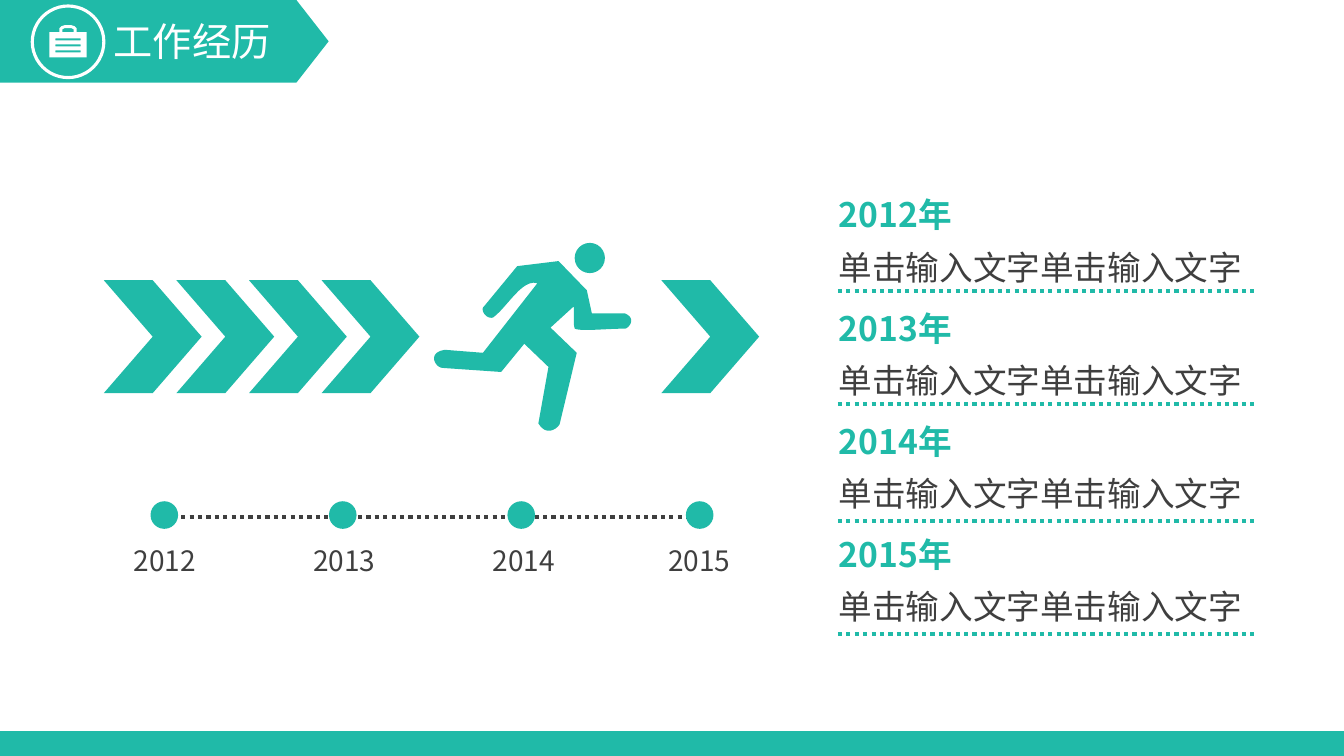
from dataclasses import dataclass
from typing import Any, NamedTuple

from lxml.etree import SubElement
from pptx import Presentation
from pptx.dml.color import RGBColor
from pptx.enum.dml import MSO_LINE
from pptx.enum.shapes import MSO_CONNECTOR, MSO_SHAPE
from pptx.enum.text import PP_ALIGN
from pptx.oxml.ns import qn
from pptx.util import Inches, Pt


@dataclass(frozen=True)
class Theme:
    """Colours, font and sizes of the slide."""
    teal: RGBColor = RGBColor(0x20, 0xBA, 0xA8)
    dark: RGBColor = RGBColor(0x3F, 0x3F, 0x3F)
    white: RGBColor = RGBColor(0xFF, 0xFF, 0xFF)
    font: str = "Noto Sans CJK SC"
    title: int = 28
    body: int = 24
    label: int = 20


class Box(NamedTuple):
    """Left, top, width and height in inches."""
    left: float
    top: float
    width: float
    height: float

    def lengths(self) -> list[int]:
        """Return the four values as slide lengths."""
        return [Inches(value) for value in self]


class Milestone(NamedTuple):
    """One year: its label position and the rule below its entry."""
    year: str
    label_left: float
    rule_top: float


class Style(NamedTuple):
    """Look of one paragraph."""
    size: int
    color: RGBColor
    bold: bool = False
    align: PP_ALIGN = PP_ALIGN.LEFT
    spacing: float = 1.0
    after: int = 0


Point = tuple[float, float]
THEME = Theme()
MILESTONES = [
    Milestone("2012", 0.81, 2.89),
    Milestone("2013", 2.59, 4.01),
    Milestone("2014", 4.37, 5.17),
    Milestone("2015", 6.11, 6.29),
]
ENTRY_TEXT = "单击输入文字单击输入文字"
CHEVRON_LEFTS = [1.03 + 0.72 * index for index in range(4)] + [6.56]
DOT_LEFT, DOT_STEP, DOT_SIZE = 1.5, 1.77, 0.26

CASE_OUTLINE = [
    (0.64, 0.25), (0.71, 0.25), (0.74, 0.26), (0.76, 0.28), (0.76, 0.32),
    (0.86, 0.32), (0.86, 0.57), (0.49, 0.57), (0.49, 0.32), (0.59, 0.32),
    (0.59, 0.28), (0.61, 0.26),
]
CASE_HANDLE = [(0.64, 0.28), (0.62, 0.29), (0.62, 0.32), (0.73, 0.32),
               (0.73, 0.29), (0.71, 0.28)]
CASE_SLITS = [[(0.55, top), (0.55, top + 0.02), (0.8, top + 0.02), (0.8, top)]
              for top in (0.38, 0.44, 0.5)]

# Two numbers are a straight step, six are a Bezier curve.
RUNNER_STEPS = [
    (5.13, 2.64), (5.54, 2.59), (5.82, 2.88), (5.87, 3.11), (6.2, 3.11),
    (6.32, 3.16, 6.23, 3.26, 6.2, 3.26), (6.03, 3.26, 5.75, 3.29, 5.7, 3.26),
    (5.68, 3.19, 5.7, 3.11, 5.69, 3.04), (5.46, 3.25), (5.72, 3.5),
    (5.55, 4.21), (5.51, 4.27, 5.41, 4.32, 5.34, 4.2), (5.44, 3.64),
    (5.2, 3.41), (4.97, 3.69), (4.39, 3.65),
    (4.32, 3.65, 4.23, 3.5, 4.41, 3.47), (4.79, 3.5), (5.33, 2.81),
    (5.18, 2.76, 5.03, 3.05, 4.89, 3.15), (4.82, 3.17, 4.76, 3.07, 4.8, 3.04),
]


def flatten(steps: list[tuple[float, ...]], parts: int = 12) -> list[Point]:
    """Turn straight and curved steps into a list of points."""
    points: list[Point] = []
    for step in steps:
        if len(step) == 2:
            points.append((step[0], step[1]))
            continue
        controls = [points[-1], step[0:2], step[2:4], step[4:6]]
        for part in range(1, parts + 1):
            t = part / parts
            weights = [(1 - t) ** 3, 3 * t * (1 - t) ** 2,
                       3 * t ** 2 * (1 - t), t ** 3]
            x, y = (sum(weight * control[axis] for weight, control
                        in zip(weights, controls)) for axis in (0, 1))
            points.append((x, y))
    return points


def paint(shape: Any, fill: RGBColor | None, line: RGBColor | None = None,
          width: float = 1) -> None:
    """Set fill and outline, and drop the shadow."""
    shape.shadow.inherit = False
    if fill is None:
        shape.fill.background()
    else:
        shape.fill.solid()
        shape.fill.fore_color.rgb = fill
    if line is None:
        shape.line.fill.background()
    else:
        shape.line.color.rgb = line
        shape.line.width = Pt(width)


def add_preset(shapes: Any, kind: MSO_SHAPE, box: Box, fill: RGBColor | None,
               line: RGBColor | None = None, width: float = 1) -> Any:
    """Add a painted preset shape."""
    shape = shapes.add_shape(kind, *box.lengths())
    paint(shape, fill, line, width)
    return shape


def add_outline(shapes: Any, contours: list[list[Point]],
                fill: RGBColor) -> None:
    """Add a filled freeform made of closed contours."""
    rings = [[(Inches(x), Inches(y)) for x, y in ring] for ring in contours]
    builder = shapes.build_freeform(*rings[0][0])
    builder.add_line_segments(rings[0][1:], close=True)
    for ring in rings[1:]:
        builder.move_to(*ring[0])
        builder.add_line_segments(ring[1:], close=True)
    paint(builder.convert_to_shape(), fill)


def add_dotted_line(shapes: Any, left: float, right: float, top: float,
                    color: RGBColor) -> None:
    """Add a horizontal dotted line."""
    line = shapes.add_connector(MSO_CONNECTOR.STRAIGHT, Inches(left),
                                Inches(top), Inches(right), Inches(top))
    line.line.color.rgb = color
    line.line.width = Pt(3)
    line.line.dash_style = MSO_LINE.ROUND_DOT
    SubElement(line._element.spPr, qn("a:effectLst"))


def add_text(shapes: Any, box: Box, lines: list[tuple[str, Style]],
             wrap: bool = True) -> None:
    """Add a text box with one styled paragraph per line."""
    frame = shapes.add_textbox(*box.lengths()).text_frame
    frame.word_wrap = wrap
    for index, (text, style) in enumerate(lines):
        paragraph = frame.add_paragraph() if index else frame.paragraphs[0]
        paragraph.text = text
        paragraph.alignment = style.align
        paragraph.line_spacing = style.spacing
        paragraph.space_after = Pt(style.after)
        font = paragraph.font
        font.name, font.size, font.bold = THEME.font, Pt(style.size), style.bold
        font.color.rgb = style.color
        SubElement(paragraph._p.pPr.defRPr, qn("a:ea"), typeface=THEME.font)


def draw_frame(shapes: Any) -> None:
    """Draw the title banner with its briefcase, and the footer bar."""
    banner = add_preset(shapes, MSO_SHAPE.PENTAGON, Box(0, 0, 3.26, 0.82),
                        THEME.teal)
    banner.adjustments[0] = 0.39
    add_preset(shapes, MSO_SHAPE.RECTANGLE, Box(0, 7.26, 13.33, 0.24),
               THEME.teal, THEME.teal)
    add_preset(shapes, MSO_SHAPE.OVAL, Box(0.32, 0.06, 0.71, 0.71), None,
               THEME.white, 2.25)
    add_text(shapes, Box(1.03, 0.12, 1.77, 0.57),
             [("工作经历", Style(THEME.title, THEME.white))], wrap=False)
    add_outline(shapes, [CASE_OUTLINE, CASE_HANDLE, *CASE_SLITS], THEME.white)


def draw_entries(shapes: Any) -> None:
    """Draw the list of years with a dotted rule below each."""
    heading = Style(THEME.body, THEME.teal, bold=True, spacing=1.3)
    detail = Style(THEME.body, THEME.dark, spacing=1.3, after=6)
    lines = [line for milestone in MILESTONES for line in
             ((f"{milestone.year}年", heading), (ENTRY_TEXT, detail))]
    add_text(shapes, Box(8.22, 1.76, 4.21, 4.64), lines)
    for milestone in MILESTONES:
        add_dotted_line(shapes, 8.31, 12.44, milestone.rule_top, THEME.teal)


def draw_runner(shapes: Any) -> None:
    """Draw the chevrons and the running figure."""
    for left in CHEVRON_LEFTS:
        add_preset(shapes, MSO_SHAPE.CHEVRON, Box(left, 2.78, 0.97, 1.12),
                   THEME.teal)
    runner = shapes.add_group_shape().shapes
    add_preset(runner, MSO_SHAPE.OVAL, Box(5.7, 2.41, 0.3, 0.3), THEME.teal)
    add_outline(runner, [flatten(RUNNER_STEPS)], THEME.teal)


def draw_timeline(shapes: Any) -> None:
    """Draw the dotted timeline with its dots and year labels."""
    add_dotted_line(shapes, 1.63, 6.91, 5.13, THEME.dark)
    style = Style(THEME.label, THEME.dark, align=PP_ALIGN.CENTER, spacing=1.2)
    for index, milestone in enumerate(MILESTONES):
        dot = Box(DOT_LEFT + index * DOT_STEP, 4.98, DOT_SIZE, DOT_SIZE)
        add_preset(shapes, MSO_SHAPE.OVAL, dot, THEME.teal, THEME.teal)
        add_text(shapes, Box(milestone.label_left, 5.28, 1.65, 0.47),
                 [(milestone.year, style)])


presentation = Presentation()
presentation.slide_width, presentation.slide_height = Inches(13.33), Inches(7.5)
slide = presentation.slides.add_slide(presentation.slide_layouts[6])
for draw in (draw_frame, draw_entries, draw_runner, draw_timeline):
    draw(slide.shapes)
presentation.save("out.pptx")
